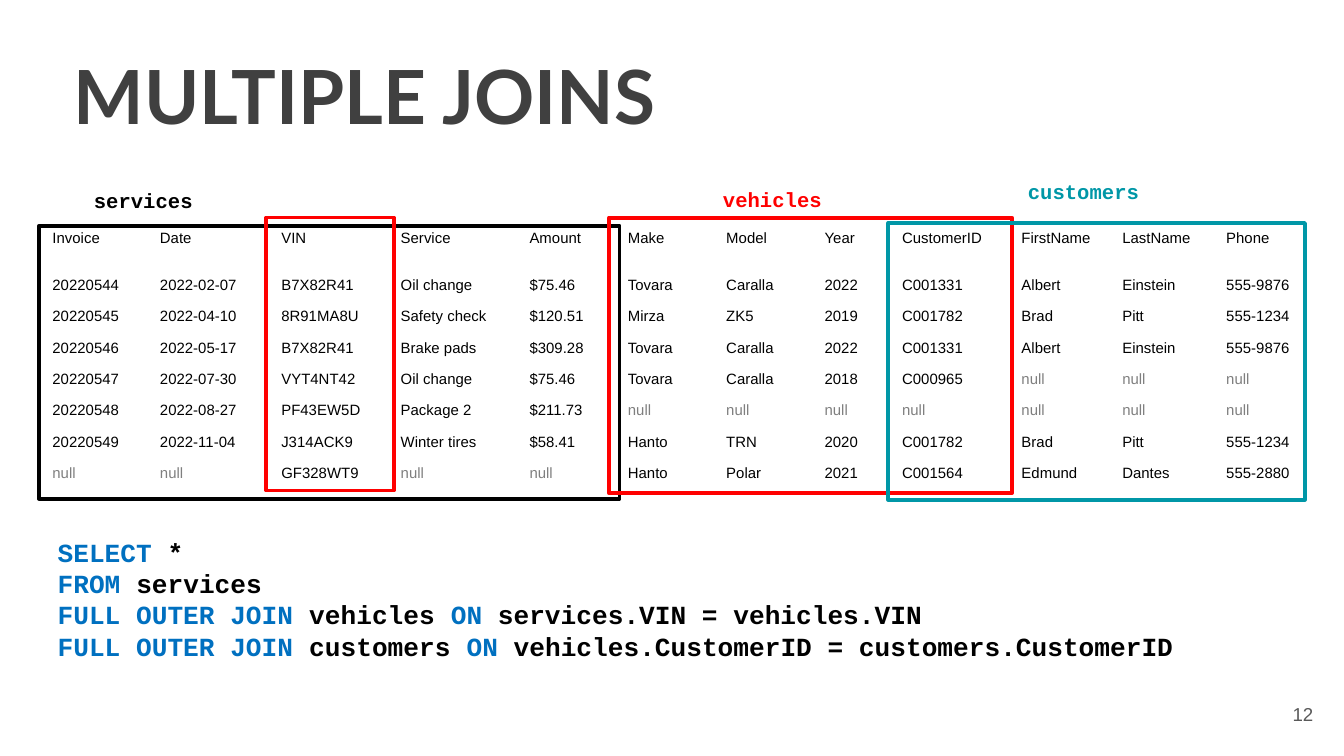
from typing import NamedTuple

from pptx import Presentation
from pptx.dml.color import RGBColor
from pptx.enum.text import MSO_ANCHOR, PP_ALIGN
from pptx.enum.shapes import MSO_SHAPE
from pptx.util import Pt

BLACK = RGBColor(0x00, 0x00, 0x00)
RED = RGBColor(0xFF, 0x00, 0x00)
TEAL = RGBColor(0x00, 0x97, 0xA7)
BLUE = RGBColor(0x00, 0x70, 0xC0)
DARK = RGBColor(0x40, 0x40, 0x40)
SLATE = RGBColor(0x59, 0x59, 0x59)
GRAY = RGBColor(0x7F, 0x7F, 0x7F)
SANS = "Arial"
MONO = "Courier New"


class Area(NamedTuple):
    left: float
    top: float
    width: float
    height: float


class Frame(NamedTuple):
    area: Area
    color: RGBColor


class Label(NamedTuple):
    text: str
    area: Area
    color: RGBColor


TABLE = Area(20.9, 119.5, 677.5, 142.6)
WIDTHS = [57.6, 65, 64, 69, 52.7, 52.7, 52.7, 41.5, 64, 54, 55.7, 48.4]
HEAD = 25.2
ROW = 16.8
DATA = """
Invoice|Date|VIN|Service|Amount|Make|Model|Year|CustomerID|FirstName|LastName|Phone
20220544|2022-02-07|B7X82R41|Oil change|$75.46|Tovara|Caralla|2022|C001331|Albert|Einstein|555-9876
20220545|2022-04-10|8R91MA8U|Safety check|$120.51|Mirza|ZK5|2019|C001782|Brad|Pitt|555-1234
20220546|2022-05-17|B7X82R41|Brake pads|$309.28|Tovara|Caralla|2022|C001331|Albert|Einstein|555-9876
20220547|2022-07-30|VYT4NT42|Oil change|$75.46|Tovara|Caralla|2018|C000965|null|null|null
20220548|2022-08-27|PF43EW5D|Package 2|$211.73|null|null|null|null|null|null|null
20220549|2022-11-04|J314ACK9|Winter tires|$58.41|Hanto|TRN|2020|C001782|Brad|Pitt|555-1234
null|null|GF328WT9|null|null|Hanto|Polar|2021|C001564|Edmund|Dantes|555-2880
"""
QUERY = """SELECT| *
FROM| services
FULL OUTER JOIN| vehicles |ON| services.VIN = vehicles.VIN
FULL OUTER JOIN| customers |ON| vehicles.CustomerID = customers.CustomerID"""

FRAMES = [
    Frame(Area(20.9, 121, 311, 146.2), BLACK),
    Frame(Area(326.2, 116.6, 216, 147.6), RED),
    Frame(Area(142.6, 116.6, 68.4, 146.2), RED),
    Frame(Area(475.9, 119.5, 223.2, 148.3), TEAL),
]
LABELS = [
    Label("customers", Area(543.6, 92.2, 74.9, 20.9), TEAL),
    Label("services", Area(43.2, 97.2, 68.4, 20.9), BLACK),
    Label("vehicles", Area(380.2, 96.5, 68.4, 20.9), RED),
]


def spot(area: Area) -> list[Pt]:
    return [Pt(side) for side in area]


def write(body, text: str, *, size: float, colors: tuple, font: str = SANS,
          bold: bool = False, align=PP_ALIGN.LEFT) -> None:
    for row, line in enumerate(text.split("\n")):
        para = body.add_paragraph() if row else body.paragraphs[0]
        para.alignment = align
        for turn, part in enumerate(line.split("|")):
            run = para.add_run()
            run.text = part
            run.font.size = Pt(size)
            run.font.name = font
            run.font.bold = bold
            run.font.color.rgb = colors[turn % len(colors)]


def add_text(slide, area: Area, text: str, *, pad: float = 3.6,
             anchor=MSO_ANCHOR.TOP, **style) -> None:
    body = slide.shapes.add_textbox(*spot(area)).text_frame
    body.word_wrap = True
    body.vertical_anchor = anchor
    body.margin_top = body.margin_bottom = Pt(pad)
    write(body, text, **style)


def add_grid(slide, rows: list[list[str]]) -> None:
    grid = slide.shapes.add_table(len(rows), len(WIDTHS), *spot(TABLE)).table
    grid.first_row = False
    grid.horz_banding = False
    for column, width in zip(grid.columns, WIDTHS):
        column.width = Pt(width)
    for index, values in enumerate(rows):
        grid.rows[index].height = Pt(ROW if index else HEAD)
        for cell, value in zip(grid.rows[index].cells, values):
            cell.fill.background()
            color = GRAY if value == "null" else BLACK
            write(cell.text_frame, value, size=8, colors=(color,))


def add_frame(slide, frame: Frame) -> None:
    box = slide.shapes.add_shape(MSO_SHAPE.RECTANGLE, *spot(frame.area))
    box.shadow.inherit = False
    box.fill.background()
    box.line.color.rgb = frame.color
    box.line.width = Pt(2)


def main() -> None:
    deck = Presentation()
    deck.slide_width, deck.slide_height = Pt(720), Pt(405)
    slide = deck.slides.add_slide(deck.slide_layouts[6])
    add_text(slide, Area(32.4, 19.4, 677.5, 72.7), "MULTIPLE JOINS", pad=7.2,
             size=40, colors=(DARK,), font="Lato", bold=True)
    add_text(slide, Area(667.4, 367.2, 43.2, 31), "12", pad=7.2,
             anchor=MSO_ANCHOR.MIDDLE, size=10, colors=(SLATE,),
             align=PP_ALIGN.RIGHT)
    add_grid(slide, [line.split("|") for line in DATA.strip().split("\n")])
    for frame in FRAMES:
        add_frame(slide, frame)
    for label in LABELS:
        add_text(slide, label.area, label.text, size=11,
                 colors=(label.color,), font=MONO, bold=True)
    add_text(slide, Area(23.8, 283.7, 632.2, 74.9), QUERY, size=14,
             colors=(BLUE, BLACK), font=MONO, bold=True)
    deck.save("out.pptx")


if __name__ == "__main__":
    main()
